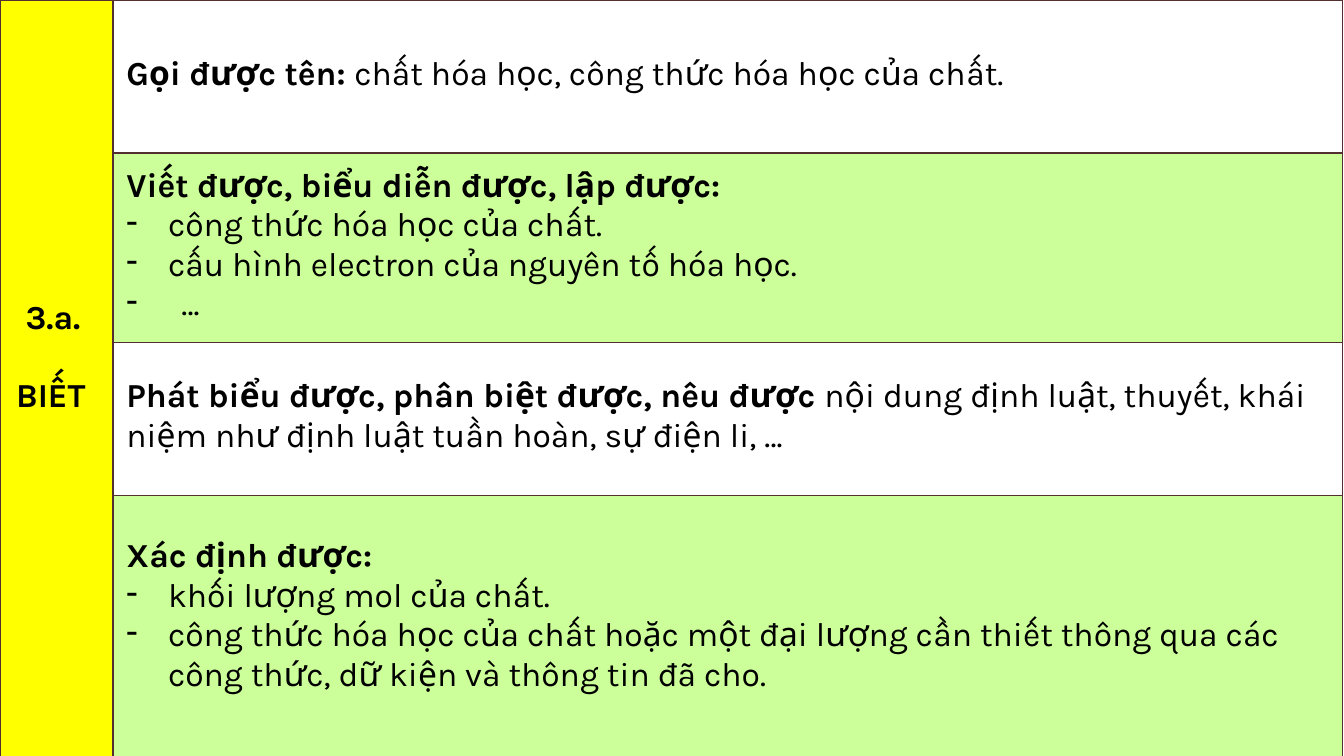
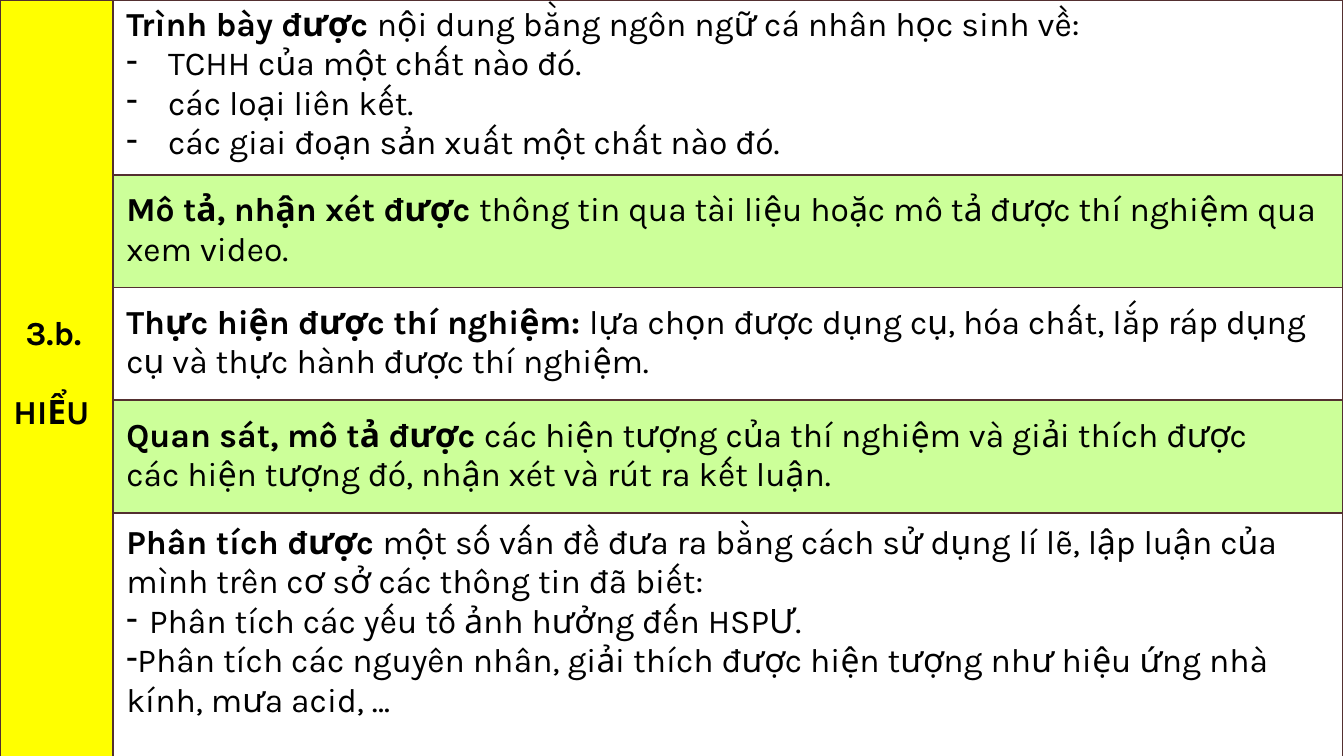
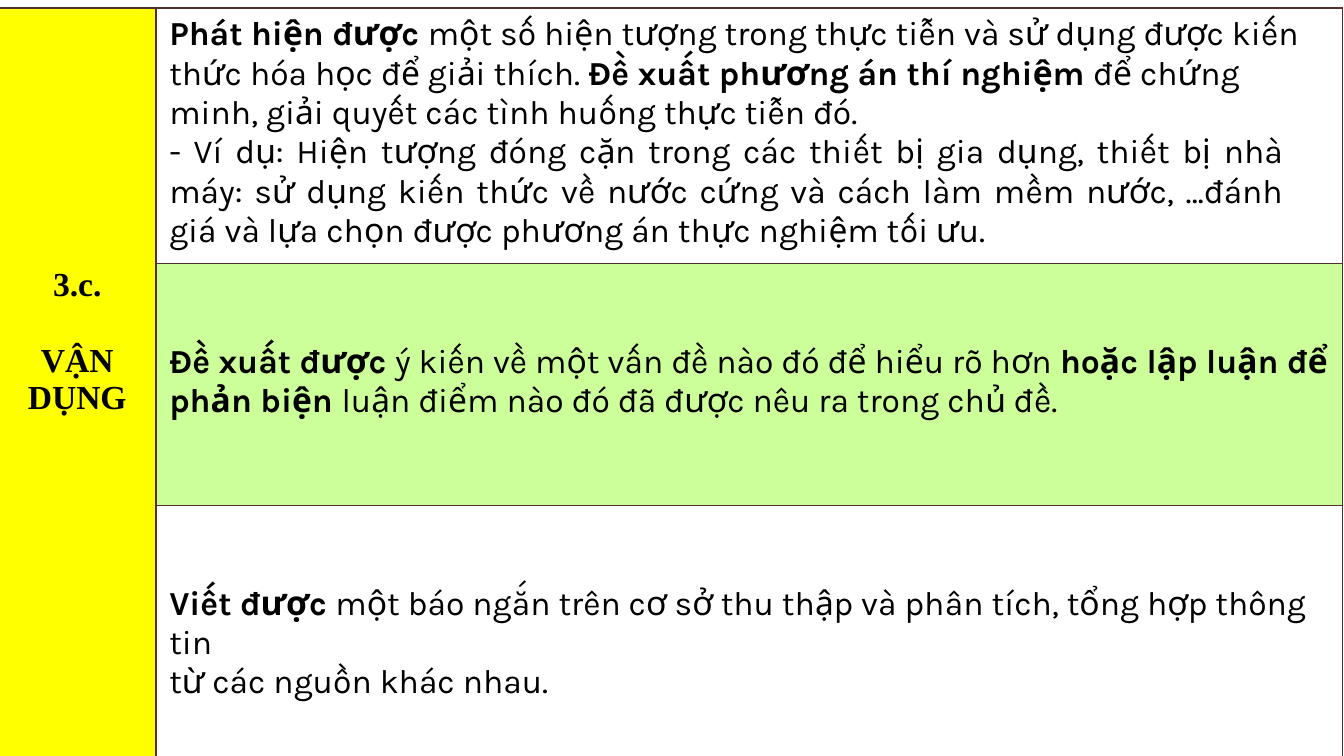
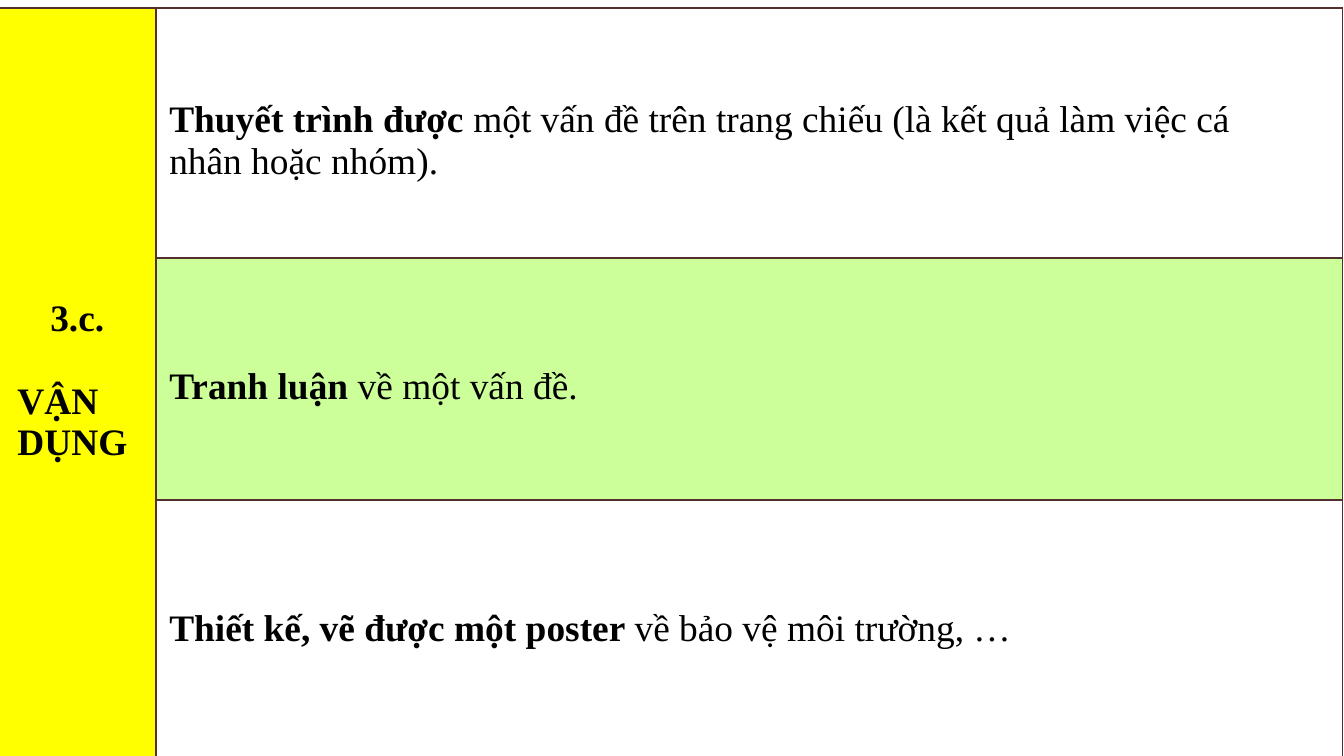
import pptx
import pptx.dml.color
import pptx.enum.text
import pptx.oxml
import pptx.oxml.ns
import pptx.util

Pt = pptx.util.Pt
ALIGN = pptx.enum.text.PP_ALIGN

COLORS = {"label": "FFFF00", "band": "CCFF99", "border": "532F30", "text": "000000"}
NS = pptx.oxml.ns.nsdecls("a")
INDENT = 7.2
KARLA = {"name": "Karla", "size": Pt(18)}
TIMES_LABEL = {"name": "Times New Roman", "size": Pt(18)}
TIMES = {"name": "Times New Roman", "size": Pt(20)}


def rgb(key):
    return pptx.dml.color.RGBColor.from_string(COLORS[key])


def para(text, left=INDENT, hang=0, right=0, before=0, align=ALIGN.LEFT, bullet=False):
    """Describe one paragraph; **...** marks its bold words."""
    return {"text": text, "left": left, "hang": hang, "right": right,
            "before": before, "align": align, "bullet": bullet}


def dash(text, left=29.5, hang=22.3, right=0):
    return para(text, left, hang, right, bullet=True)


def write_paragraph(paragraph, content, font):
    props = paragraph._p.get_or_add_pPr()
    indents = {"marL": content["left"], "marR": content["right"], "indent": -content["hang"]}
    for key, points in indents.items():
        props.set(key, str(int(Pt(points))))
    if content["bullet"]:
        props.append(pptx.oxml.parse_xml(f'<a:buChar {NS} char="-"/>'))
    paragraph.alignment = content["align"]
    paragraph.space_before = Pt(content["before"])
    for index, part in enumerate(content["text"].split("**")):
        if part:
            run = paragraph.add_run()
            run.text = part
            for key, value in {**font, "bold": index % 2 == 1}.items():
                setattr(run.font, key, value)
            run.font.color.rgb = rgb("text")


def write_cell(cell, top, contents, font):
    margins = {"margin_left": 0, "margin_right": 0, "margin_bottom": 0, "margin_top": Pt(top)}
    for key, value in margins.items():
        setattr(cell, key, value)
    frame = cell.text_frame
    for index, content in enumerate(contents):
        paragraph = frame.add_paragraph() if index else frame.paragraphs[0]
        write_paragraph(paragraph, content, font)


def style_cell(cell, fill):
    props = cell._tc.get_or_add_tcPr()
    for side in ("lnL", "lnR", "lnT", "lnB"):
        props.append(pptx.oxml.parse_xml(
            f'<a:{side} {NS} w="{int(Pt(1))}"><a:solidFill>'
            f'<a:srgbClr val="{COLORS["border"]}"/></a:solidFill></a:{side}>'))
    if fill:
        cell.fill.solid()
        cell.fill.fore_color.rgb = rgb(fill)
    else:
        cell.fill.background()


def add_level_slide(deck, origin, widths, heights, label, skills, label_font, skill_font):
    """One level of competence: a merged label on the left, its skills in rows."""
    slide = deck.slides.add_slide(deck.slide_layouts[6])
    left, top = origin
    table = slide.shapes.add_table(len(heights), 2, Pt(left), Pt(top),
                                   Pt(sum(widths)), Pt(sum(heights))).table
    for flag in ("first_row", "horz_banding"):
        setattr(table, flag, False)
    for column, width in zip(table.columns, widths):
        column.width = Pt(width)
    for row, height in zip(table.rows, heights):
        row.height = Pt(height)

    # Every second skill row is green
    for index, (space, contents) in enumerate(skills):
        style_cell(table.cell(index, 0), "label")
        style_cell(table.cell(index, 1), "band" if index % 2 else None)
        write_cell(table.cell(index, 1), space, contents, skill_font)

    table.cell(0, 0).merge(table.cell(len(heights) - 1, 0))
    write_cell(table.cell(0, 0), *label, label_font)


def main():
    deck = pptx.Presentation()
    deck.slide_width, deck.slide_height = Pt(720), Pt(405)
    narrow = {"origin": (0, 0), "widths": (60.5, 658.8)}
    wide = {"origin": (-0.72, 4.3), "widths": (84.2, 635.8)}

    # Level a: know
    add_level_slide(
        deck, **narrow, heights=(82, 101.5, 82, 140),
        label=(160, [para("**3.a.**", 13.7), para("**BIẾT**", 8.6, before=20.8)]),
        skills=[
            (29, [para("**Gọi được tên: **chất hóa học, công thức hóa học của chất.")]),
            (7.2, [para("**Viết được, biểu diễn được, lập được:**"),
                   dash("công thức hóa học của chất."),
                   dash("cấu hình electron của nguyên tố hóa học."),
                   dash("…", 36.7, 29.5)]),
            (18.5, [para("**Phát biểu được, phân biệt được, nêu được **nội dung định luật, "
                         "thuyết, khái niệm như định luật tuần hoàn, sự điện li, …")]),
            (22.3, [para("**Xác định được:**"),
                    dash("khối lượng mol của chất."),
                    dash("công thức hóa học của chất hoặc một đại lượng cần thiết thông qua "
                         "các công thức, dữ kiện và thông tin đã cho.")]),
        ],
        label_font=KARLA, skill_font=KARLA)

    # Level b: understand
    add_level_slide(
        deck, **narrow, heights=(93.6, 60.4, 60.4, 60.4, 131),
        label=(168.8, [para("**3.b.**", 13.7), para("**HIỂU**", before=20.8)]),
        skills=[
            (2.9, [para("**Trình bày được **nội dung bằng ngôn ngữ cá nhân học sinh về:"),
                   dash("TCHH của một chất nào đó."),
                   dash("các loại liên kết."),
                   dash("các giai đoạn sản xuất một chất nào đó.")]),
            (8.6, [para("**Mô tả, nhận xét được **thông tin qua tài liệu hoặc mô tả được "
                        "thí nghiệm qua"),
                   para("xem video.")]),
            (8.6, [para("**Thực hiện được thí nghiệm: **lựa chọn được dụng cụ, hóa chất, "
                        "lắp ráp dụng"),
                   para("cụ và thực hành được thí nghiệm.")]),
            (8.6, [para("**Quan sát, mô tả được **các hiện tượng của thí nghiệm và giải thích "
                        "được các hiện tượng đó, nhận xét và rút ra kết luận.", right=36)]),
            (5.8, [para("**Phân tích được **một số vấn đề đưa ra bằng cách sử dụng lí lẽ, "
                        "lập luận của"),
                   para("mình trên cơ sở các thông tin đã biết:"),
                   dash("Phân tích các yếu tố ảnh hưởng đến HSPƯ.", 19.4, 12.2),
                   dash("Phân tích các nguyên nhân, giải thích được hiện tượng như hiệu ứng "
                        "nhà kính, mưa acid, …", INDENT, 0, 23)]),
        ],
        label_font=KARLA, skill_font=KARLA)

    # Level c: apply
    add_level_slide(
        deck, **wide, heights=(136.8, 129.6, 135),
        label=(138.6, [para("**3.c.**", 0, align=ALIGN.CENTER),
                       para("**VẬN DỤNG**", 10, right=10, before=20.8, align=ALIGN.CENTER)]),
        skills=[
            (3.6, [para("**Phát hiện được **một số hiện tượng trong thực tiễn và sử dụng được "
                        "kiến thức hóa học để giải thích. **Đề xuất phương án thí nghiệm **để "
                        "chứng minh, giải quyết các tình huống thực tiễn đó.", right=15),
                   para("- Ví dụ: Hiện tượng đóng cặn trong các thiết bị gia dụng, thiết bị nhà "
                        "máy: sử dụng kiến thức về nước cứng và cách làm mềm nước, …đánh giá "
                        "và lựa chọn được phương án thực nghiệm tối ưu.",
                        right=32, align=ALIGN.JUSTIFY)]),
            (42.3, [para("**Đề xuất được **ý kiến về một vấn đề nào đó để hiểu rõ hơn "
                         "**hoặc lập luận để**"),
                    para("**phản biện **luận điểm nào đó đã được nêu ra trong chủ đề.")]),
            (42.3, [para("**Viết được **một báo ngắn trên cơ sở thu thập và phân tích, "
                         "tổng hợp thông tin"),
                    para("từ các nguồn khác nhau.")]),
        ],
        label_font=TIMES_LABEL, skill_font=KARLA)

    # Level c, continued
    add_level_slide(
        deck, **wide, heights=(133.9, 129.6, 138),
        label=(155.4, [para("**3.c.**", 0, align=ALIGN.CENTER),
                       para("**VẬN DỤNG**", 10, before=22.3)]),
        skills=[
            (49, [para("**Thuyết trình được **một vấn đề trên trang chiếu (là kết quả làm "
                       "việc cá nhân hoặc nhóm).", right=36)]),
            (58, [para("**Tranh luận **về một vấn đề.")]),
            (58, [para("**Thiết kế, vẽ được một poster **về bảo vệ môi trường, …")]),
        ],
        label_font=TIMES, skill_font=TIMES)

    deck.save("out.pptx")


if __name__ == "__main__":
    main()
